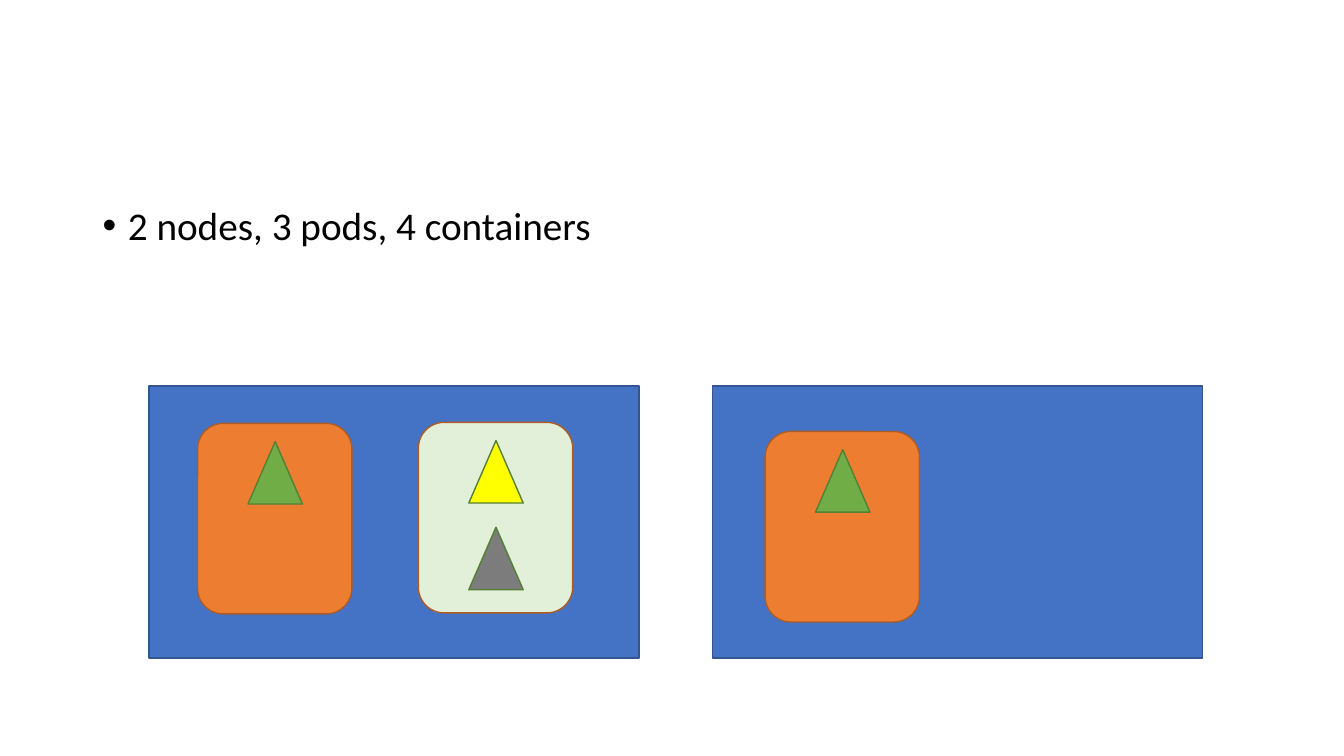
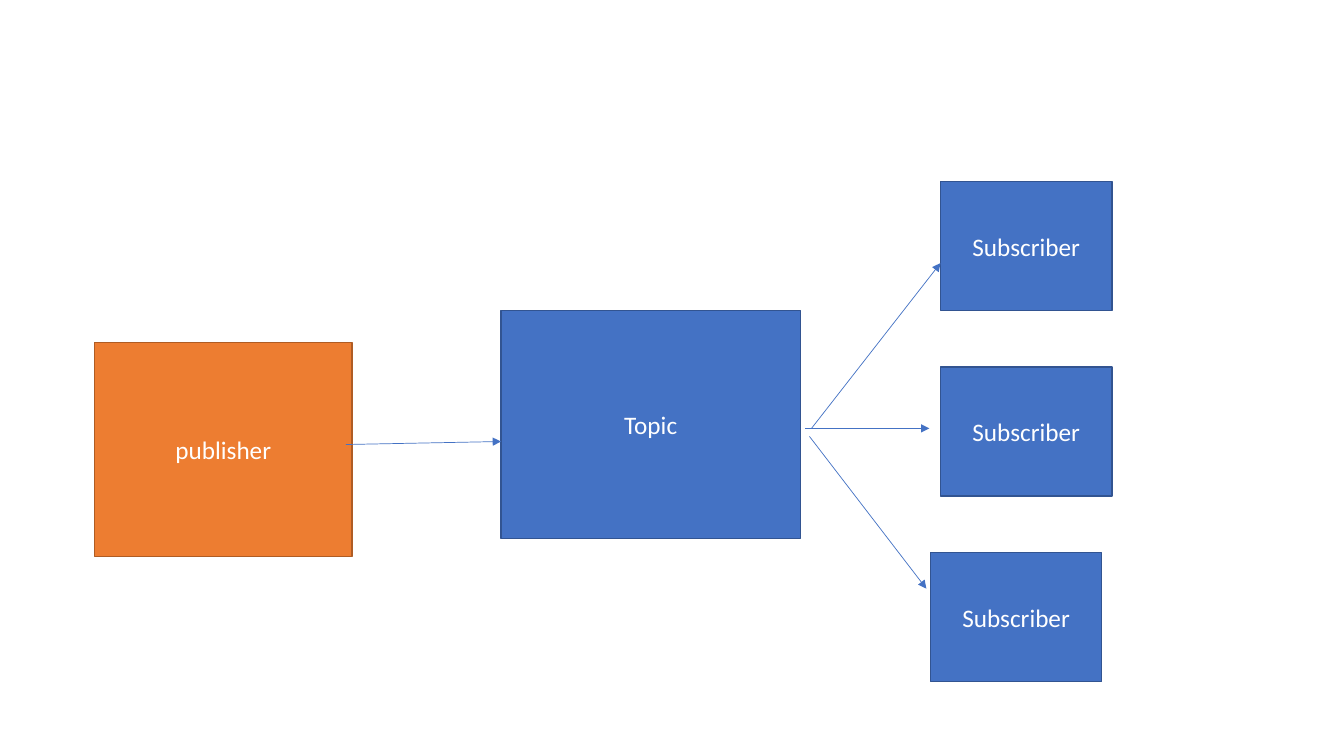
from dataclasses import dataclass

from lxml.etree import SubElement
from pptx import Presentation
from pptx.dml.color import RGBColor
from pptx.enum.shapes import MSO_CONNECTOR, MSO_SHAPE
from pptx.enum.text import MSO_ANCHOR, PP_ALIGN
from pptx.oxml.ns import qn
from pptx.util import Inches, Pt


@dataclass(frozen=True)
class Theme:
    font: str = "Calibri"
    body_size: int = 28
    label_size: int = 18
    outline: float = 1
    arrow_width: float = 0.5
    ink: str = "000000"
    paper: str = "FFFFFF"
    blue: str = "4472C4"
    blue_edge: str = "325491"
    orange: str = "ED7D31"
    orange_edge: str = "AF5C24"
    green: str = "70AD47"
    green_edge: str = "538035"
    pale_green: str = "E2F0D9"
    yellow: str = "FFFF00"
    gray: str = "7C7C7C"


class Deck:
    """Places elements on a grid of 100 columns by 100 rows."""

    def __init__(self, theme):
        self.theme = theme
        self.prs = Presentation()
        self.prs.slide_width, self.prs.slide_height = Inches(13.33), Inches(7.5)
        self.slide = None

    def new_slide(self):
        self.slide = self.prs.slides.add_slide(self.prs.slide_layouts[6])

    def grid(self, *lengths):
        """Turn alternating columns and rows into slide lengths."""
        sides = (self.prs.slide_width, self.prs.slide_height)
        return [round(n * sides[i % 2] / 100) for i, n in enumerate(lengths)]

    def add_text(self, paragraph, text, size, color):
        run = paragraph.add_run()
        run.text = text
        run.font.name, run.font.size = self.theme.font, Pt(size)
        run.font.color.rgb = RGBColor.from_string(color)

    def bullet(self, text, *box):
        frame = self.slide.shapes.add_textbox(*self.grid(*box)).text_frame
        frame.word_wrap = True
        paragraph = frame.paragraphs[0]
        paragraph.line_spacing, paragraph.space_before = 0.9, Pt(10)
        self.add_text(paragraph, text, self.theme.body_size, self.theme.ink)
        props = paragraph._p.get_or_add_pPr()
        props.set("marL", str(Inches(0.25)))
        props.set("indent", str(-Inches(0.25)))
        SubElement(props, qn("a:buFont"), typeface="Arial")
        SubElement(props, qn("a:buChar"), char="•")

    def block(self, kind, fill, edge, *box, label=None):
        shape = self.slide.shapes.add_shape(kind, *self.grid(*box))
        shape.shadow.inherit = False
        shape.fill.solid()
        shape.fill.fore_color.rgb = RGBColor.from_string(fill)
        shape.line.color.rgb = RGBColor.from_string(edge)
        shape.line.width = Pt(self.theme.outline)
        if label:
            frame = shape.text_frame
            frame.word_wrap, frame.vertical_anchor = True, MSO_ANCHOR.MIDDLE
            frame.paragraphs[0].alignment = PP_ALIGN.CENTER
            self.add_text(frame.paragraphs[0], label, self.theme.label_size, self.theme.paper)

    def blue_box(self, *box, label=None):
        self.block(MSO_SHAPE.RECTANGLE, self.theme.blue, self.theme.blue_edge, *box, label=label)

    def pod(self, left, top, fill, container_fills):
        self.block(MSO_SHAPE.ROUNDED_RECTANGLE, fill, self.theme.orange_edge,
                   left, top, 11.48, 25.2)
        for i, color in enumerate(container_fills):
            self.block(MSO_SHAPE.ISOSCELES_TRIANGLE, color, self.theme.green_edge,
                       left + 3.75, top + 2.4 + i * 11.47, 4.05, 8.27)

    def arrow(self, *ends):
        connector = self.slide.shapes.add_connector(MSO_CONNECTOR.STRAIGHT, *self.grid(*ends))
        connector.line.color.rgb = RGBColor.from_string(self.theme.blue)
        connector.line.width = Pt(self.theme.arrow_width)
        props = connector._element.spPr
        SubElement(props.find(qn("a:ln")), qn("a:tailEnd"), type="triangle")
        SubElement(props, qn("a:effectLst"))


theme = Theme()
deck = Deck(theme)

# Slide 1: nodes, pods and containers
deck.new_slide()
deck.bullet("2 nodes, 3 pods, 4 containers", 6.9, 26.67, 86.25, 63.47)
for node_left in (11.1, 53.03):
    deck.blue_box(node_left, 51.07, 36.45, 36)
deck.pod(14.7, 56, theme.orange, [theme.green])
deck.pod(31.13, 55.87, theme.pale_green, [theme.yellow, theme.gray])
deck.pod(56.93, 57.07, theme.orange, [theme.green])

# Slide 2: publisher, topic and subscribers
deck.new_slide()
deck.block(MSO_SHAPE.RECTANGLE, theme.orange, theme.orange_edge,
           7.05, 45.33, 19.13, 28.27, label="publisher")
deck.blue_box(37.28, 41.07, 22.28, 30.13, label="Topic")
for i, subscriber_left in enumerate((69.98, 69.98, 69.23)):
    deck.blue_box(subscriber_left, 24 + i * 24.55, 12.75, 17.07, label="Subscriber")

# Message flow: publisher to topic, then topic to each subscriber
for flow in ((25.73, 58.8, 37.28, 58.4),
             (60.38, 56.67, 69.98, 34.8),
             (59.93, 56.67, 69.15, 56.67),
             (60.23, 57.73, 68.93, 77.87)):
    deck.arrow(*flow)

deck.prs.save("out.pptx")
